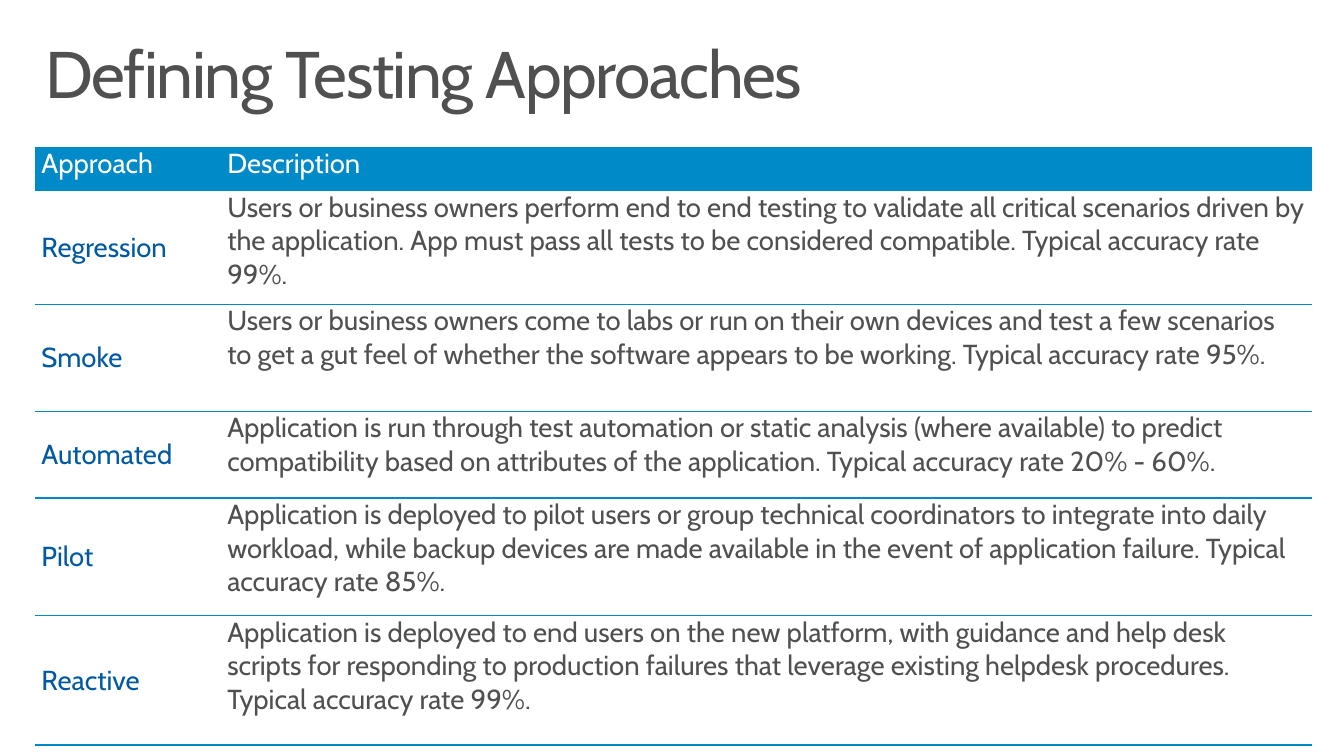
from lxml.etree import SubElement
from pptx import Presentation
from pptx.dml.color import RGBColor
from pptx.enum.text import MSO_ANCHOR, MSO_AUTO_SIZE, PP_ALIGN
from pptx.oxml.ns import qn
from pptx.util import Inches, Pt

FONT = "Cabin"
WHITE = RGBColor(0xFF, 0xFF, 0xFF)
GRAY = RGBColor(0x50, 0x50, 0x50)
BRIGHT_BLUE = RGBColor(0x00, 0x8A, 0xC8)
DARK_BLUE = RGBColor(0x00, 0x5A, 0xA1)

COLUMN_WIDTHS = (1.88, 11.05)
ROW_HEIGHTS = (0.44, 1.15, 1.08, 0.88, 1.19, 1.31)
HEADINGS = ("Approach", "Description")
APPROACHES = (
    ("Regression", "Users or business owners perform end to end testing to validate all "
     "critical scenarios driven by the application. App must pass all tests to be "
     "considered compatible. Typical accuracy rate 99%."),
    ("Smoke", "Users or business owners come to labs or run on their own devices and test "
     "a few scenarios to get a gut feel of whether the software appears to be working. "
     "Typical accuracy rate 95%."),
    ("Automated", "Application is run through test automation or static analysis (where "
     "available) to predict compatibility based on attributes of the application. "
     "Typical accuracy rate 20% - 60%."),
    ("Pilot", "Application is deployed to pilot users or group technical coordinators to "
     "integrate into daily workload, while backup devices are made available in the event "
     "of application failure. Typical accuracy rate 85%."),
    ("Reactive", "Application is deployed to end users on the new platform, with guidance "
     "and help desk scripts for responding to production failures that leverage existing "
     "helpdesk procedures. Typical accuracy rate 99%."),
)


def write_text(text_frame, text, size=20, color=GRAY, space=0, line_spacing=1.0, tracking=0):
    """Write one left-aligned paragraph; space and tracking are in points."""
    paragraph = text_frame.paragraphs[0]
    paragraph.alignment = PP_ALIGN.LEFT
    paragraph.space_before = paragraph.space_after = Pt(space)
    paragraph.line_spacing = line_spacing
    run = paragraph.add_run()
    run.text = text
    run.font.name = FONT
    run.font.size = Pt(size)
    run.font.bold = False
    run.font.color.rgb = color
    if tracking:
        run.font._element.set("spc", str(tracking * 100))


def set_borders(cell):
    """Rule the top and bottom of a cell and clear its sides."""
    properties = cell._tc.get_or_add_tcPr()
    for side in ("lnL", "lnR", "lnT", "lnB"):
        line = SubElement(properties, qn(f"a:{side}"), w=str(Pt(1)))
        if side in ("lnL", "lnR"):
            SubElement(line, qn("a:noFill"))
        else:
            fill = SubElement(line, qn("a:solidFill"))
            SubElement(fill, qn("a:srgbClr"), val=str(BRIGHT_BLUE))


def format_cell(cell, text, color, fill=None, anchor=MSO_ANCHOR.TOP):
    cell.margin_left = cell.margin_right = Inches(0.07)
    cell.margin_top = cell.margin_bottom = 0
    cell.vertical_anchor = anchor
    set_borders(cell)
    if fill is None:
        cell.fill.background()
    else:
        cell.fill.solid()
        cell.fill.fore_color.rgb = fill
    write_text(cell.text_frame, text, color=color, space=2)


def place_title(slide, left, top, width, height):
    title = slide.shapes.title
    title.left, title.top = Inches(left), Inches(top)
    title.width, title.height = Inches(width), Inches(height)
    frame = title.text_frame
    frame.word_wrap = True
    frame.auto_size = MSO_AUTO_SIZE.NONE
    frame.vertical_anchor = MSO_ANCHOR.TOP
    frame.margin_left = frame.margin_right = Inches(0.16)
    frame.margin_top = frame.margin_bottom = Inches(0.1)
    write_text(frame, "Defining Testing Approaches", size=48, line_spacing=0.9, tracking=-1)


def add_approach_table(slide, left, top, width, height):
    table = slide.shapes.add_table(
        len(ROW_HEIGHTS), len(COLUMN_WIDTHS),
        Inches(left), Inches(top), Inches(width), Inches(height)).table
    table.first_row = table.horz_banding = False
    for column, column_width in zip(table.columns, COLUMN_WIDTHS):
        column.width = Inches(column_width)
    for row, row_height in zip(table.rows, ROW_HEIGHTS):
        row.height = Inches(row_height)
    for column, heading in enumerate(HEADINGS):
        format_cell(table.cell(0, column), heading, WHITE, fill=BRIGHT_BLUE)
    for row, (approach, description) in enumerate(APPROACHES, start=1):
        format_cell(table.cell(row, 0), approach, DARK_BLUE, anchor=MSO_ANCHOR.MIDDLE)
        format_cell(table.cell(row, 1), description, GRAY)


def main():
    presentation = Presentation()
    presentation.slide_width = Inches(13.6)
    presentation.slide_height = Inches(7.65)
    slide = presentation.slides.add_slide(presentation.slide_layouts[5])
    place_title(slide, 0.3, 0.32, 13, 1)
    add_approach_table(slide, 0.35, 1.49, sum(COLUMN_WIDTHS), sum(ROW_HEIGHTS))
    presentation.save("out.pptx")


if __name__ == "__main__":
    main()
